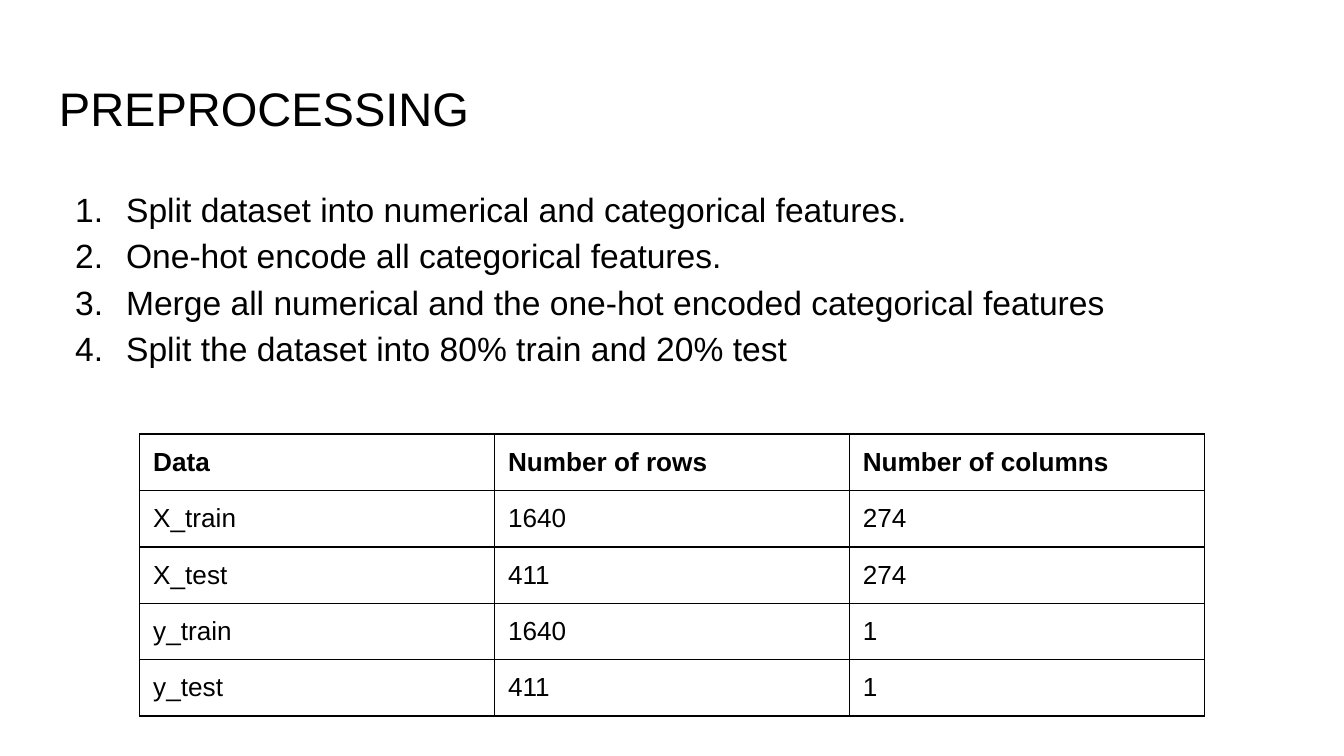
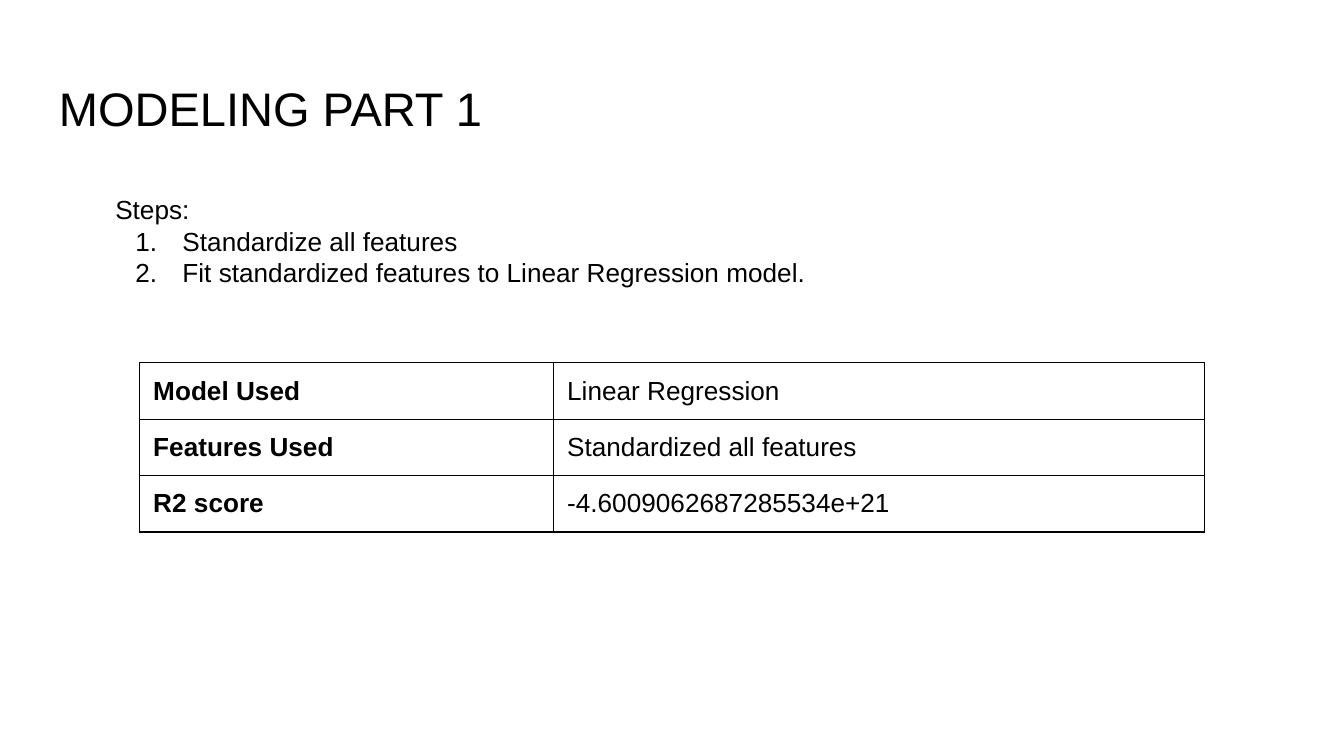
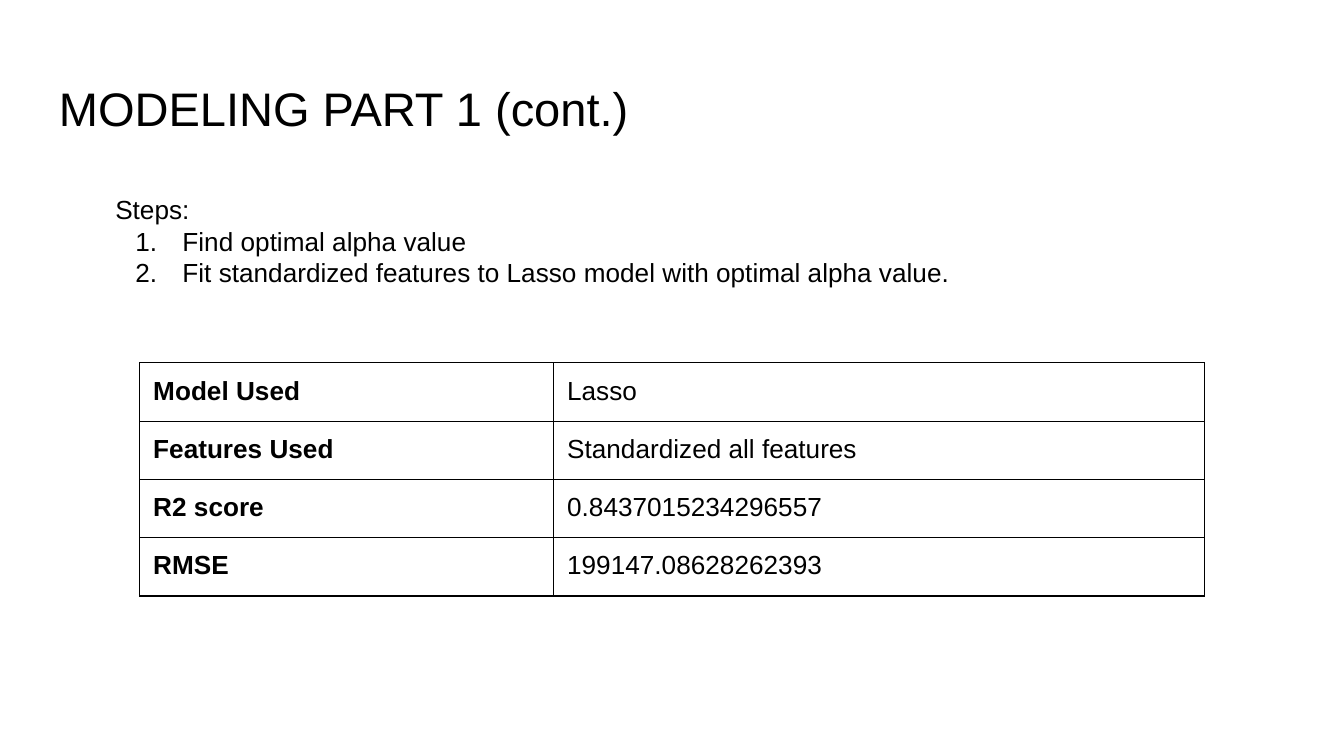
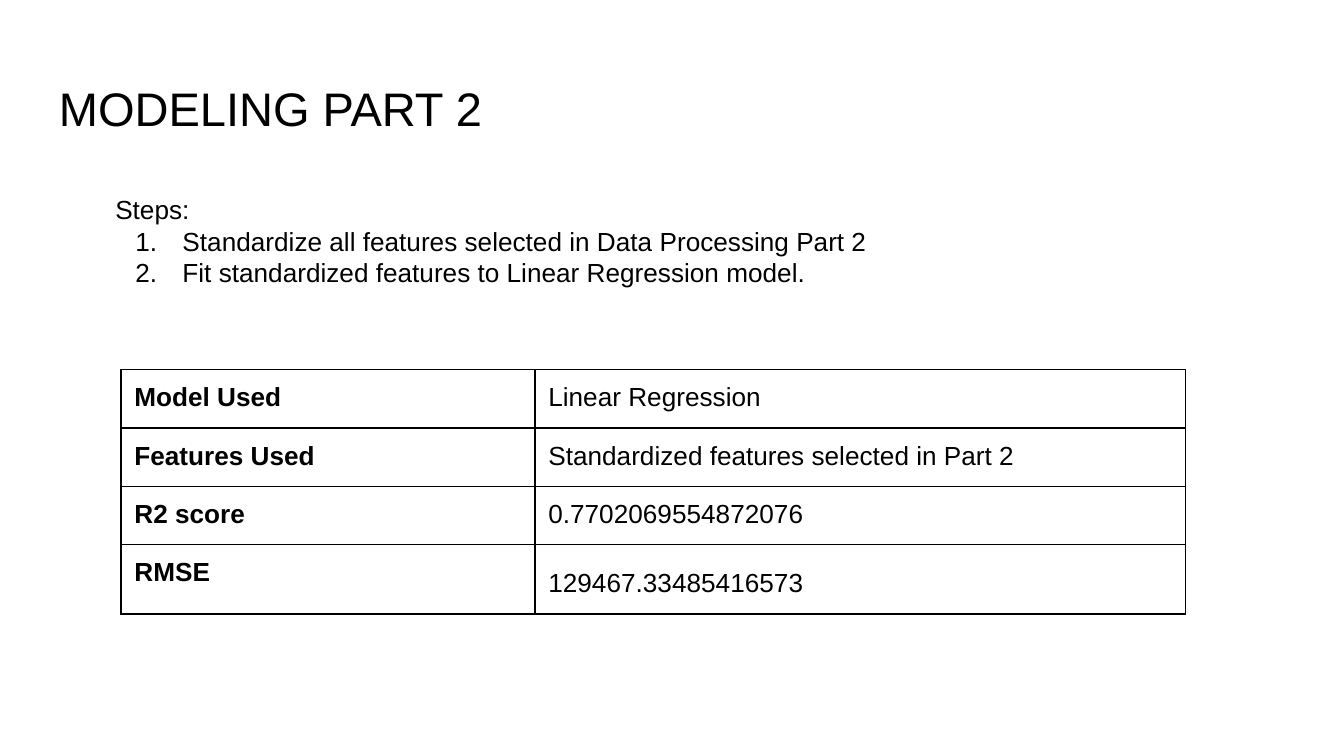
from lxml.etree import SubElement as Sub
from pptx import Presentation
from pptx.dml.color import RGBColor as Rgb
from pptx.enum.text import MSO_AUTO_SIZE as Fit
from pptx.oxml.ns import qn
from pptx.util import Inches, Pt

COLORS = {"ink": "000000", "paper": "FFFFFF"}
FONT = "Arial"
PAD = 0.1
SIDES = ("a:lnL", "a:lnR", "a:lnT", "a:lnB")


class Deck:
    def __init__(self):
        self.prs = Presentation()
        self.prs.slide_width = Inches(10)
        self.prs.slide_height = Inches(10) * 9 // 16
        self.slide = None

    def style(self, para, size, bold=False):
        for run in para.runs:
            font = run.font
            font.name, font.size, font.bold = FONT, Pt(size), bold
            font.color.rgb = Rgb.from_string(COLORS["ink"])

    def start(self, title):
        self.slide = self.prs.slides.add_slide(self.prs.slide_layouts[6])
        fill = self.slide.background.fill
        fill.solid()
        fill.fore_color.rgb = Rgb.from_string(COLORS["paper"])
        self.text((0.34, 0.49, 9.32, 0.63), [title], 25.2)

    def text(self, box, lines, size):
        frame = self.slide.shapes.add_textbox(*map(Inches, box)).text_frame
        frame.word_wrap = True
        frame.auto_size = Fit.NONE
        frame.margin_left = frame.margin_right = Inches(PAD)
        frame.margin_top = frame.margin_bottom = Inches(PAD)
        frame.text = "\n".join(lines)
        for para in frame.paragraphs:
            self.style(para, size)
        return frame

    def number(self, paras, hang, space=None):
        for para in paras:
            if space:
                para.line_spacing = space
            props = para._p.get_or_add_pPr()
            props.set("marL", str(Inches(0.5)))
            props.set("indent", str(-Inches(hang)))
            tint = Sub(props, qn("a:buClr"))
            Sub(tint, qn("a:srgbClr"), val=COLORS["ink"])
            Sub(props, qn("a:buFont"), typeface=FONT)
            Sub(props, qn("a:buAutoNum"), type="arabicPeriod")

    def steps(self, *items):
        frame = self.text((0.76, 1.34, 8.2, 0.91), ["Steps:", *items], 14)
        frame.auto_size = Fit.SHAPE_TO_FIT_TEXT
        self.number(frame.paragraphs[1:], 0.35)

    def border(self, cell):
        props = cell._tc.get_or_add_tcPr()
        for side in SIDES:
            line = Sub(props, qn(side), w=str(Pt(0.75)))
            fill = Sub(line, qn("a:solidFill"))
            Sub(fill, qn("a:srgbClr"), val=COLORS["ink"])

    def table(self, left, top, cols, rows, data, head_row=False):
        box = map(Inches, (left, top, sum(cols), sum(rows)))
        table = self.slide.shapes.add_table(len(rows), len(cols), *box).table
        table.first_row = table.horz_banding = False
        for col, width in zip(table.columns, cols):
            col.width = Inches(width)
        for row, height in zip(table.rows, rows):
            row.height = Inches(height)
        for r, line in enumerate(data):
            for c, word in enumerate(line):
                cell = table.cell(r, c)
                cell.margin_left = cell.margin_right = Inches(PAD)
                cell.margin_top = cell.margin_bottom = Inches(PAD)
                self.border(cell)
                cell.fill.background()
                cell.text_frame.text = word
                bold = r == 0 if head_row else c == 0
                self.style(cell.text_frame.paragraphs[0], 14, bold)
        return table

    def result(self, left, top, rows, *values):
        names = ("Model Used", "Features Used", "R2 score", "RMSE")
        data = list(zip(names, values))
        return self.table(left, top, (3.08, 4.84), rows, data)


def main():
    deck = Deck()

    deck.start("PREPROCESSING")
    body = deck.text((0.34, 1.26, 9.32, 3.74), [
        "Split dataset into numerical and categorical features.",
        "One-hot encode all categorical features.",
        "Merge all numerical and the one-hot encoded categorical features",
        "Split the dataset into 80% train and 20% test",
    ], 18)
    deck.number(body.paragraphs, 0.38, 1.15)
    deck.table(1.04, 3.23, [2.64] * 3, [0.42] * 5, [
        ("Data", "Number of rows", "Number of columns"),
        ("X_train", "1640", "274"),
        ("X_test", "411", "274"),
        ("y_train", "1640", "1"),
        ("y_test", "411", "1"),
    ], head_row=True)

    deck.start("MODELING PART 1")
    deck.result(1.04, 2.7, [0.42] * 3, "Linear Regression",
                "Standardized all features", "-4.6009062687285534e+21")
    deck.steps("Standardize all features",
               "Fit standardized features to Linear Regression model.")

    deck.start("MODELING PART 1 (cont.)")
    deck.steps("Find optimal alpha value",
               "Fit standardized features to Lasso model with optimal alpha value.")
    deck.result(1.04, 2.7, [0.43] * 4, "Lasso", "Standardized all features",
                "0.8437015234296557", "199147.08628262393")

    deck.start("MODELING PART 2")
    deck.steps("Standardize all features selected in Data Processing Part 2",
               "Fit standardized features to Linear Regression model.")
    table = deck.result(0.9, 2.75, [0.43] * 3 + [0.51], "Linear Regression",
                        "Standardized features selected in Part 2",
                        "0.7702069554872076", "129467.33485416573")
    table.cell(3, 1).text_frame.paragraphs[0].line_spacing = 1.36

    deck.prs.save("out.pptx")


if __name__ == "__main__":
    main()
